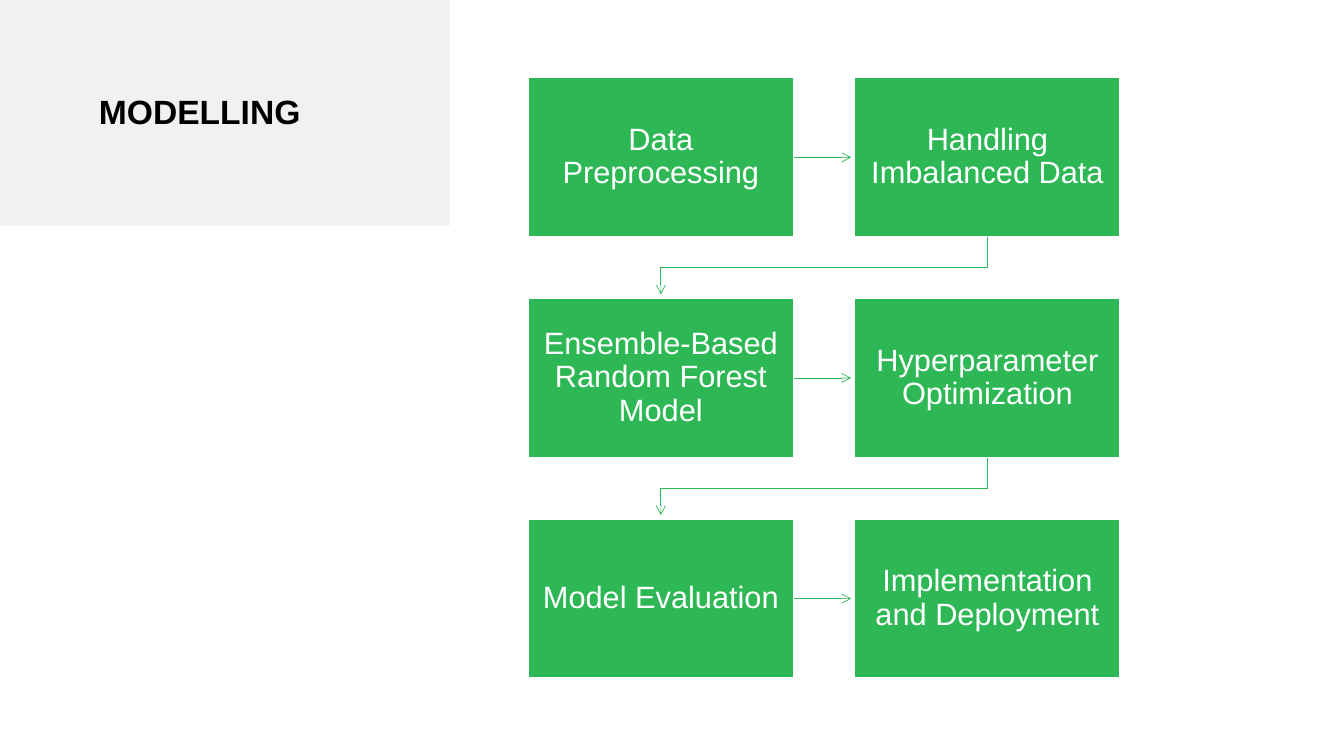
import pptx
import pptx.dml.color
import pptx.enum.shapes
import pptx.enum.text
import pptx.oxml.ns
import pptx.util
from lxml import etree

Cm = pptx.util.Cm
Pt = pptx.util.Pt
qn = pptx.oxml.ns.qn

COLORS = {"panel": "F3F0F2", "green": "2EB855", "white": "FFFFFF", "black": "000000"}

STEPS = [
    "Data Preprocessing", "Handling Imbalanced Data",
    "Ensemble-Based Random Forest Model", "Hyperparameter Optimization",
    "Model Evaluation", "Implementation and Deployment",
]

# Flow grid, in cm
COLUMNS = 2
LEFT, TOP = 13.31, 1.96
BOX_W, BOX_H = 6.69, 4.01
PITCH_X, PITCH_Y = 8.23, 5.56
ARROW, TURN = 1.45, 0.77


class FlowSlide:
    """Holds the style and the current slide."""

    font = "Arial"

    def __init__(self, prs):
        self.s = prs.slides.add_slide(prs.slide_layouts[5])

    def color(self, name):
        return pptx.dml.color.RGBColor.from_string(COLORS[name])

    def set_text(self, sp, text, size, color, align, bold=False):
        tf = sp.text_frame
        tf.text = text
        tf.word_wrap = True
        tf.vertical_anchor = pptx.enum.text.MSO_ANCHOR.MIDDLE
        p = tf.paragraphs[0]
        p.alignment = align
        p.line_spacing = 0.9
        font = p.runs[0].font
        font.name, font.size, font.bold = self.font, Pt(size), bold
        font.color.rgb = self.color(color)

    def title(self, text, x, y, w, h):
        sp = self.s.shapes.title
        sp.left, sp.top, sp.width, sp.height = Cm(x), Cm(y), Cm(w), Cm(h)
        self.set_text(sp, text, 24, "black", pptx.enum.text.PP_ALIGN.LEFT, bold=True)

    def rect(self, x, y, w, h, fill, line=None):
        sp = self.s.shapes.add_shape(
            pptx.enum.shapes.MSO_SHAPE.RECTANGLE, Cm(x), Cm(y), Cm(w), Cm(h))
        sp.shadow.inherit = False
        sp.fill.solid()
        sp.fill.fore_color.rgb = self.color(fill)
        if line:
            sp.line.color.rgb = self.color(line)
            sp.line.width = Pt(1)
        else:
            sp.line.fill.background()
        return sp

    def panel(self, w, h):
        sp = self.rect(0, 0, w, h, "panel")
        self.s.shapes.title.element.addprevious(sp.element)  # behind the title

    def step(self, text, x, y):
        sp = self.rect(x, y, BOX_W, BOX_H, "green", "white")
        tf = sp.text_frame
        tf.margin_left = tf.margin_right = Cm(0.33)
        tf.margin_top = tf.margin_bottom = Cm(0.35)
        self.set_text(sp, text, 22, "white", pptx.enum.text.PP_ALIGN.CENTER)

    def arrow_style(self, sp):
        sp.line.color.rgb = self.color("green")
        sp.line.width = Pt(0.5)
        ln = sp.element.spPr.find(qn("a:ln"))
        etree.SubElement(ln, qn("a:tailEnd"), type="arrow")

    def arrow(self, x, y):
        cn = self.s.shapes.add_connector(
            pptx.enum.shapes.MSO_CONNECTOR.STRAIGHT, Cm(x), Cm(y), Cm(x + ARROW), Cm(y))
        self.arrow_style(cn)
        etree.SubElement(cn.element.spPr, qn("a:effectLst"))

    def elbow(self, x, y, x_end):
        points = [(x, y + TURN), (x_end, y + TURN), (x_end, y + ARROW)]
        fb = self.s.shapes.build_freeform(Cm(x), Cm(y))
        fb.add_line_segments([(Cm(a), Cm(b)) for a, b in points], close=False)
        sp = fb.convert_to_shape()
        sp.shadow.inherit = False
        sp.fill.background()
        self.arrow_style(sp)


def main():
    prs = pptx.Presentation()
    prs.slide_width, prs.slide_height = Cm(33.87), Cm(19.05)
    slide = FlowSlide(prs)

    # Heading
    slide.title("MODELLING", 2.24, 0.99, 7.98, 3.76)
    slide.panel(11.33, 5.69)

    # Process steps, each followed by an arrow to the next
    for i, text in enumerate(STEPS):
        row, col = divmod(i, COLUMNS)
        x, y = LEFT + col * PITCH_X, TOP + row * PITCH_Y
        slide.step(text, x, y)
        if col < COLUMNS - 1:
            slide.arrow(x + BOX_W, y + BOX_H / 2)
        elif i < len(STEPS) - 1:
            slide.elbow(x + BOX_W / 2, y + BOX_H, LEFT + BOX_W / 2)

    prs.save("out.pptx")


if __name__ == "__main__":
    main()
